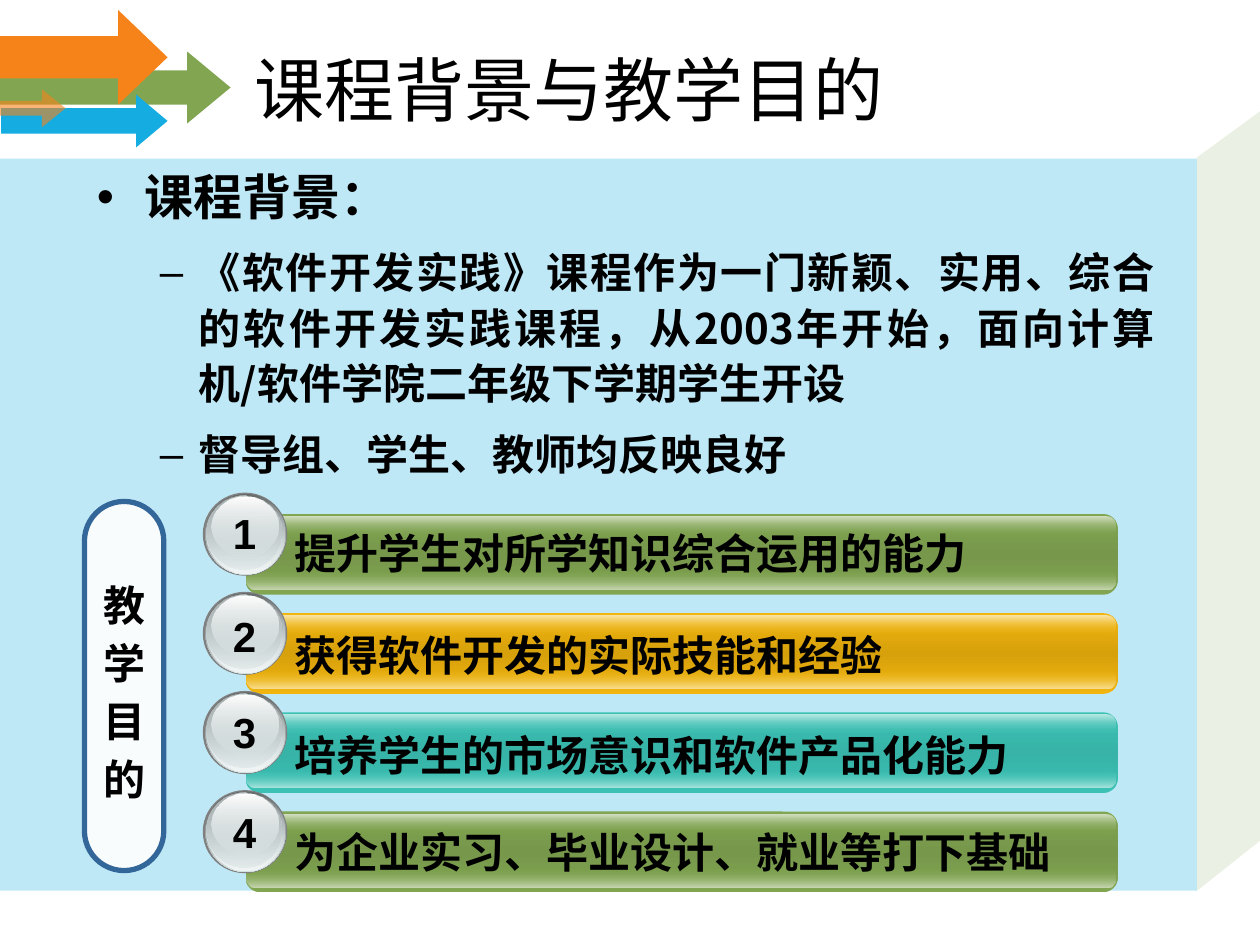
from lxml import etree
from pptx import Presentation
from pptx.dml.color import RGBColor
from pptx.enum import lang, shapes, text
from pptx.oxml import parse_xml
from pptx.oxml.ns import qn
from pptx.util import Inches, Pt

NS = 'xmlns:a="http://schemas.openxmlformats.org/drawingml/2006/main"'
KIND = shapes.MSO_SHAPE
NOTO = "Noto Sans CJK SC"
GREEN, ORANGE, BLUE, SILVER = "81A551", "F6831A", "15ACE1", "D6E1E2"

deck = Presentation()
deck.slide_width, deck.slide_height = Inches(10), Inches(7.5)
slide = deck.slides.add_slide(deck.slide_layouts[6])


def paint(shape, *stops):
    tones = [f'<a:srgbClr val="{tone}"><a:alpha val="{alpha * 1000}"/></a:srgbClr>'
             for tone, alpha in stops]
    if len(tones) == 1:
        xml = f"<a:solidFill {NS}>{tones[0]}</a:solidFill>"
    else:
        step = 100000 // (len(tones) - 1)
        marks = "".join(f'<a:gs pos="{i * step}">{tone}</a:gs>' for i, tone in enumerate(tones))
        xml = (f'<a:gradFill {NS} rotWithShape="1"><a:gsLst>{marks}</a:gsLst>'
               '<a:lin ang="5400000" scaled="0"/></a:gradFill>')
    shape.shadow.inherit = False
    shape.line.fill.background()
    shape.line._ln.addprevious(parse_xml(xml))


def write(box, lines, size, font, bold=True):
    area = slide.shapes.add_textbox(*map(Inches, box)).text_frame
    area.word_wrap = True
    area.text = "\n".join(lines)
    for para in area.paragraphs:
        for run in para.runs:
            run.font.size, run.font.bold, run.font.name = Pt(size), bold, font
            run.font.color.rgb = RGBColor.from_string("000000")
            run.font.language_id = lang.MSO_LANGUAGE_ID.SIMPLIFIED_CHINESE
    return area


pen = slide.shapes.build_freeform(Inches(9.5), Inches(1.25), scale=1.0)
pen.add_line_segments([(Inches(x), Inches(y)) for x, y in
                       [(10.06, 0.84), (10.03, 6.65), (9.5, 7.07)]])
paint(pen.convert_to_shape(), (GREEN, 16))

panel = slide.shapes.add_shape(KIND.RECTANGLE, *map(Inches, (0, 1.26, 9.5, 5.81)))
paint(panel, (BLUE, 27))

for box, adj, tone, alpha in [
    ((0.63, -0.22, 0.57, 1.83), (0.479, 0.604), GREEN, 100),
    ((0.29, -0.21, 0.75, 1.33), (0.447, 0.523), ORANGE, 100),
    ((0.46, 0.3, 0.42, 1.32), (0.479, 0.597), BLUE, 100),
    ((0.11, 0.6, 0.3, 0.52), (0.389, 0.624), ORANGE, 60),
]:
    arrow = slide.shapes.add_shape(KIND.UP_ARROW, *map(Inches, box))
    arrow.rotation = 90
    arrow.adjustments[0], arrow.adjustments[1] = adj
    paint(arrow, (tone, alpha))

title = write((1.92, 0.11, 7.5, 1.18), ["课程背景与教学目的"], 40, "Arial", False)
title.vertical_anchor = text.MSO_ANCHOR.MIDDLE

body = write((0.67, 1.23, 8.59, 2.76), [
    "课程背景：",
    "《软件开发实践》课程作为一门新颖、实用、综合的软件开发实践课程，从2003年开始，面向计算机/软件学院二年级下学期学生开设",
    "督导组、学生、教师均反映良好",
], 24, NOTO)
for para, level, mark, left, hang, gap in zip(
        body.paragraphs, (0, 1, 1), "•––", (0.38, 0.81, 0.81), (0.38, 0.31, 0.31), (17.5, 9, 9)):
    para.level, para.line_spacing, para.space_before = level, 1.1, Pt(gap)
    props = para._p.get_or_add_pPr()
    props.set("marL", str(Inches(left)))
    props.set("indent", str(-Inches(hang)))
    etree.SubElement(props, qn("a:buFont"), typeface="Arial")
    etree.SubElement(props, qn("a:buChar"), char=mark)
body.paragraphs[0].runs[0].font.size = Pt(28)
body.paragraphs[1].alignment = text.PP_ALIGN.JUSTIFY

goals = [
    ("提升学生对所学知识综合运用的能力", GREEN, "77984B", "CBDAB7", "D5E1C5", 3.98, 4.14),
    ("获得软件开发的实际技能和经验", "F1B50D", "D7A10C", "F9E19B", "FAE6AE", 4.8, 4.95),
    ("培养学生的市场意识和软件产品化能力", "3CC2B5", "37B3A7", "AFE6E1", "BEEBE6", 5.56, 5.74),
    ("为企业实习、毕业设计、就业等打下基础", GREEN, "77984B", "CBDAB7", "D5E1C5", 6.35, 6.51),
]
for i, (goal, tone, deep, glow, shine, high, low) in enumerate(goals):
    top = 4.08 + 0.787 * i
    for x, y, w, h, adj, stops in [
        (1.95, 0, 6.92, 0.64, 0.175, [(tone, 100), (deep, 100), (tone, 100)]),
        (1.96, 0.45, 6.89, 0.15, 0.5, [(tone, 0), (glow, 100)]),
        (1.96, 0.02, 6.89, 0.15, 0.5, [(shine, 100), (tone, 0)]),
    ]:
        bar = slide.shapes.add_shape(KIND.ROUNDED_RECTANGLE, *map(Inches, (x, top + y, w, h)))
        bar.adjustments[0] = adj
        paint(bar, *stops)
    for x, y, w, h, stops in [
        (1.61, -0.17, 0.67, 0.66, [("808080", 100)]),
        (1.63, -0.16, 0.64, 0.64, [("636869", 100), (SILVER, 100)]),
        (1.64, -0.16, 0.62, 0.63, [(SILVER, 0), ("F1F5F5", 100)]),
        (1.64, -0.15, 0.59, 0.59, [("AAB2B3", 100), (SILVER, 48)]),
        (1.68, -0.14, 0.53, 0.47, [("FFFFFF", 100), (SILVER, 38)]),
    ]:
        ball = slide.shapes.add_shape(KIND.OVAL, *map(Inches, (x, top + y, w, h)))
        paint(ball, *stops)
    digit = write((1.73, high, 0.42, 0.5), [str(i + 1)], 24, "Arial")
    digit.paragraphs[0].alignment = text.PP_ALIGN.CENTER
    write((2.24, low, 6.41, 0.5), [goal], 24, NOTO)

pill = slide.shapes.add_shape(KIND.ROUNDED_RECTANGLE, *map(Inches, (-0.48, 5.13, 2.93, 0.63)))
pill.rotation = 90
pill.adjustments[0] = 0.5
paint(pill, ("FEFEFE", 92))
pill.line.color.rgb = RGBColor.from_string("336699")
pill.line.width = Pt(3)
label = write((0.72, 4.49, 0.4, 1.94), ["教学目的"], 24, "Calibri")
label.paragraphs[0].line_spacing = 1.15

deck.save("out.pptx")
